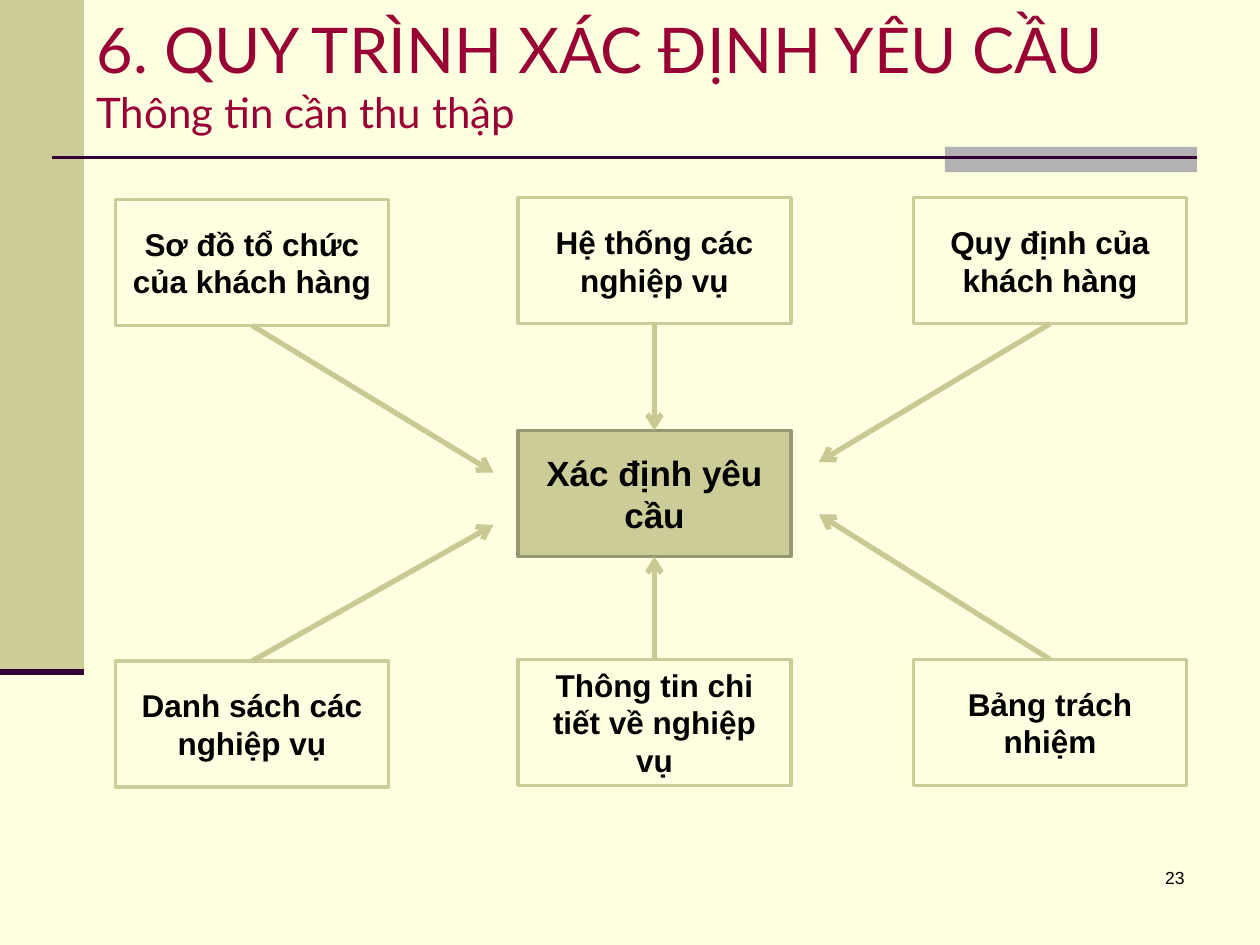
import pptx
import pptx.util
import pptx.dml.color
import pptx.enum.shapes
import pptx.enum.text
import pptx.oxml
import pptx.oxml.ns

Pt = pptx.util.Pt
ALIGN = pptx.enum.text.PP_ALIGN
ANCHOR = pptx.enum.text.MSO_ANCHOR
TOP, BOTTOM = 0, 2  # connection sites of a rectangle

# Content
TITLE = [("6. QUY TRÌNH XÁC ĐỊNH YÊU CẦU", 36), ("Thông tin cần thu thập", 24)]
GOAL = "Xác định yêu cầu"
# Each source: label, column, row, free arrow end (None: joins the goal box)
SOURCES = [
    ("Sơ đồ tổ chức của khách hàng", 0, 0, (282, 270)),
    ("Hệ thống các nghiệp vụ", 1, 0, None),
    ("Quy định của khách hàng", 2, 0, (468, 264)),
    ("Danh sách các nghiệp vụ", 0, 1, (282, 300)),
    ("Thông tin chi tiết về nghiệp vụ", 1, 1, None),
    ("Bảng trách nhiệm", 2, 1, (468, 294)),
]
PAGE_NUMBER = "23"

# Layout in points
BOX_W, BOX_H = 156, 72
COLUMN_X = [66, 296, 522]
ROW_Y = [113, 376.8]
LEFT_COLUMN_DROP = 1
GOAL_Y = 246

CREAM, OLIVE, PLUM = "FFFFE1", "CCCC99", "330033"


def paint(color_format, hex_color):
    color_format.rgb = pptx.dml.color.RGBColor.from_string(hex_color)


def add_run(paragraph, text, size, color="000000", font="Arial", bold=False):
    run = paragraph.add_run()
    run.text = text
    run.font.size, run.font.name, run.font.bold = Pt(size), font, bold
    paint(run.font.color, color)


def add_box(x, y, w, h, fill, line=None):
    box = slide.shapes.add_shape(pptx.enum.shapes.MSO_SHAPE.RECTANGLE,
                                 Pt(x), Pt(y), Pt(w), Pt(h))
    box.shadow.inherit = False
    box.fill.solid()
    paint(box.fill.fore_color, fill)
    if line:
        paint(box.line.color, line)
        box.line.width = Pt(2)
    else:
        box.line.fill.background()
    return box


def add_label_box(x, y, text, size, fill, line):
    box = add_box(x, y, BOX_W, BOX_H, fill, line)
    frame = box.text_frame
    frame.word_wrap = True
    frame.vertical_anchor = ANCHOR.MIDDLE
    frame.paragraphs[0].alignment = ALIGN.CENTER
    add_run(frame.paragraphs[0], text, size, bold=True)
    return box


def add_line(start, end, color, width):
    line = slide.shapes.add_connector(pptx.enum.shapes.MSO_CONNECTOR.STRAIGHT,
                                      *(Pt(v) for v in (*start, *end)))
    paint(line.line.color, color)
    line.line.width = Pt(width)
    pptx.oxml.ns.qn("a:effectLst")
    line._element.spPr.append(pptx.oxml.parse_xml(
        f'<a:effectLst {pptx.oxml.ns.nsdecls("a")}/>'))
    return line


def add_arrow(source, source_site, goal, goal_site, free_end):
    arrow = add_line((0, 0), free_end or (0, 0), "C9C994", 3)
    arrow.begin_connect(source, source_site)
    if free_end is None:
        arrow.end_connect(goal, goal_site)
    arrow.line._get_or_add_ln().append(pptx.oxml.parse_xml(
        f'<a:tailEnd {pptx.oxml.ns.nsdecls("a")} type="arrow"/>'))


deck = pptx.Presentation()
deck.slide_width, deck.slide_height = Pt(720), Pt(540)
slide = deck.slides.add_slide(deck.slide_layouts[5])
slide.background.fill.solid()
paint(slide.background.fill.fore_color, CREAM)

# Side band and title rule
add_box(0, 0, 48, 384, OLIVE)
add_box(540, 84, 144, 14.4, "B2B2B2")
add_line((30, 90), (684, 90), PLUM, 1.5)
add_line((0, 384), (48, 384), PLUM, 3.5)

# Title
title = slide.shapes.title
title.left, title.top, title.width, title.height = Pt(48), Pt(0), Pt(672), Pt(84)
title.text_frame.auto_size = pptx.enum.text.MSO_AUTO_SIZE.NONE
title.text_frame.vertical_anchor = ANCHOR.MIDDLE
heading = title.text_frame.paragraphs[0]
heading.alignment = ALIGN.LEFT
for i, (text, size) in enumerate(TITLE):
    if i:
        heading.add_line_break()
    add_run(heading, text, size, "990033", "Lato")

# Goal in the centre, sources around it
goal_box = add_label_box(COLUMN_X[1], GOAL_Y, GOAL, 20, OLIVE, "979771")
for label, column, row, free_end in SOURCES:
    y = ROW_Y[row] + (LEFT_COLUMN_DROP if column == 0 else 0)
    source_box = add_label_box(COLUMN_X[column], y, label, 18, CREAM, OLIVE)
    sites = (BOTTOM, TOP) if row == 0 else (TOP, BOTTOM)
    add_arrow(source_box, sites[0], goal_box, sites[1], free_end)

# Page number
page = slide.shapes.add_textbox(Pt(534), Pt(492), Pt(150), Pt(36))
page.text_frame.word_wrap = True
page.text_frame.paragraphs[0].alignment = ALIGN.RIGHT
add_run(page.text_frame.paragraphs[0], PAGE_NUMBER, 10)

deck.save("out.pptx")
